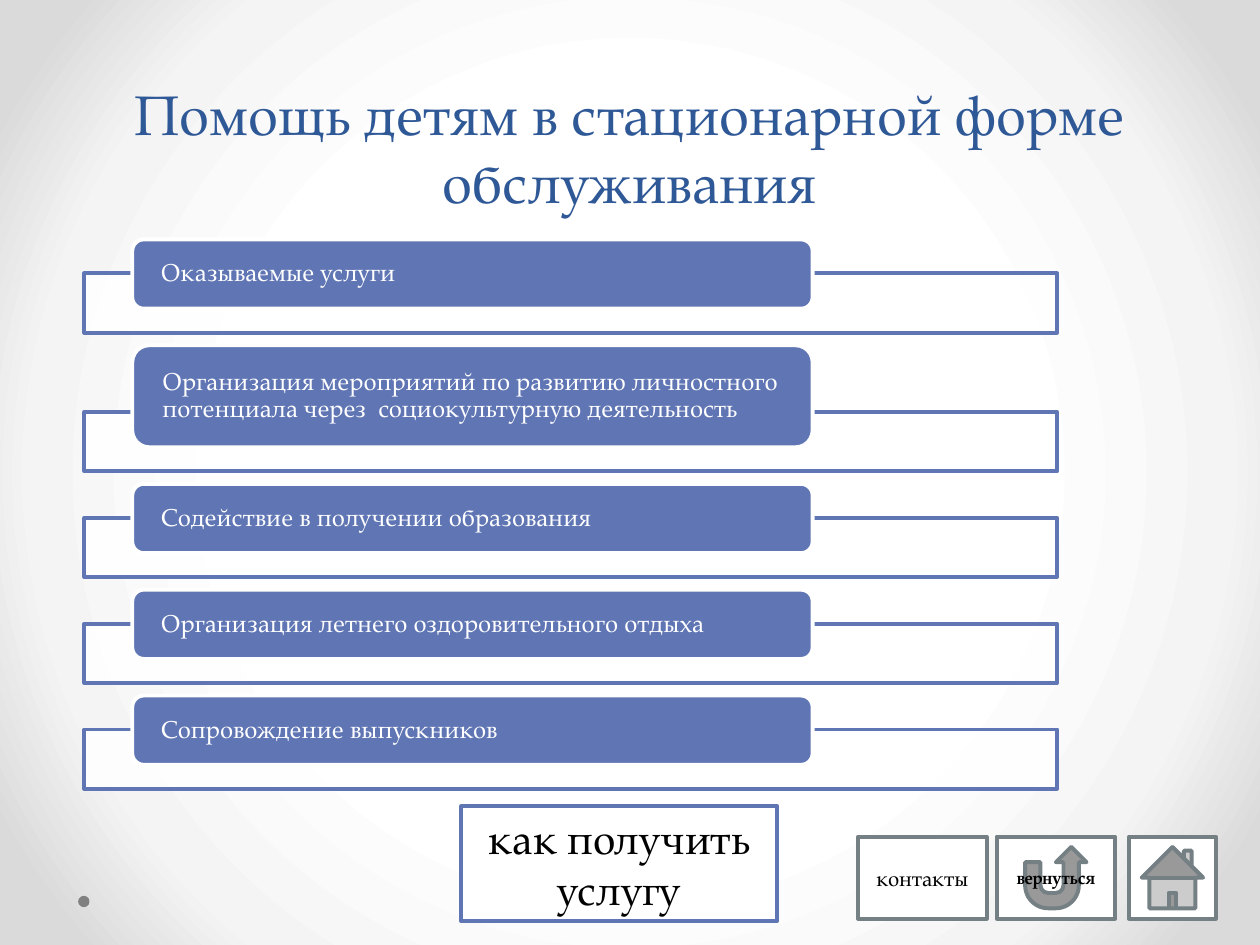
from dataclasses import dataclass

from lxml import etree
from pptx import Presentation
from pptx.dml.color import RGBColor
from pptx.enum.shapes import MSO_SHAPE
from pptx.enum.text import MSO_ANCHOR, MSO_AUTO_SIZE, PP_ALIGN
from pptx.oxml.ns import qn
from pptx.util import Inches, Pt

RECTANGLE, ROUNDED, OVAL = MSO_SHAPE.RECTANGLE, MSO_SHAPE.ROUNDED_RECTANGLE, MSO_SHAPE.OVAL
BUTTON_BLANK = MSO_SHAPE.ACTION_BUTTON_CUSTOM
BUTTON_RETURN = MSO_SHAPE.ACTION_BUTTON_RETURN
BUTTON_HOME = MSO_SHAPE.ACTION_BUTTON_HOME
LEFT, CENTER = PP_ALIGN.LEFT, PP_ALIGN.CENTER
TOP, MIDDLE, BOTTOM = MSO_ANCHOR.TOP, MSO_ANCHOR.MIDDLE, MSO_ANCHOR.BOTTOM
GROW = MSO_AUTO_SIZE.SHAPE_TO_FIT_TEXT

FONT = "TeX Gyre Pagella"
COLORS = {
    "white": "FFFFFF", "black": "000000", "title": "2F5897", "blue": "6076B4",
    "slate": "758085", "dot": "808080", "light": "F4F4F4", "edge": "DADADA",
}


@dataclass
class Service:
    text: str
    height: float = 0.55


@dataclass
class Button:
    kind: MSO_SHAPE
    left: float
    width: float
    text: str = ""
    size: float = 12
    bold: bool = False


SERVICES = [
    Service("Оказываемые услуги"),
    Service("Организация мероприятий по развитию личностного потенциала "
            "через  социокультурную деятельность", 0.81),
    Service("Содействие в получении образования"),
    Service("Организация летнего оздоровительного отдыха"),
    Service("Сопровождение выпускников"),
]
BUTTONS = [
    Button(BUTTON_RETURN, 7.91, 0.94, "вернуться", 10, True),
    Button(BUTTON_HOME, 8.96, 0.69),
    Button(BUTTON_BLANK, 6.81, 1.02, "контакты"),
]


def rgb(name: str) -> RGBColor:
    return RGBColor.from_string(COLORS[name])


def write_text(shape, text: str, *, size: float, color: str = "black", bold: bool = False,
               align=CENTER, anchor=MIDDLE, side: float = 0.1, edge: float = 0.05,
               spacing: float = 1.0) -> None:
    frame = shape.text_frame
    frame.word_wrap = True
    frame.vertical_anchor = anchor
    frame.margin_left = frame.margin_right = Inches(side)
    frame.margin_top = frame.margin_bottom = Inches(edge)
    paragraph = frame.paragraphs[0]
    paragraph.alignment = align
    paragraph.line_spacing = spacing
    run = paragraph.add_run()
    run.text = text
    run.font.name, run.font.size, run.font.bold = FONT, Pt(size), bold
    run.font.color.rgb = rgb(color)


def add_box(slide, kind, left: float, top: float, width: float, height: float, *,
            fill: str = "white", line: str = "", opacity: int = 100):
    shape = slide.shapes.add_shape(kind, Inches(left), Inches(top), Inches(width), Inches(height))
    shape.shadow.inherit = False
    shape.fill.solid()
    shape.fill.fore_color.rgb = rgb(fill)
    if opacity < 100:
        color = shape.fill._xPr.find(".//" + qn("a:srgbClr"))
        etree.SubElement(color, qn("a:alpha"), val=str(opacity * 1000))
    if line:
        shape.line.color.rgb = rgb(line)
        shape.line.width = Pt(2.25)
    else:
        shape.line.fill.background()
    return shape


def set_background(slide) -> None:
    fill = slide.background.fill
    fill.gradient()
    gradient = slide.background._cSld.find(".//" + qn("a:gradFill"))
    for child in list(gradient):
        gradient.remove(child)
    stops = etree.SubElement(gradient, qn("a:gsLst"))
    for position, name in ((50, "white"), (76, "light"), (92, "edge")):
        stop = etree.SubElement(stops, qn("a:gs"), pos=str(position * 1000))
        etree.SubElement(stop, qn("a:srgbClr"), val=COLORS[name])
    path = etree.SubElement(gradient, qn("a:path"), path="circle")
    etree.SubElement(path, qn("a:fillToRect"), l="50000", t="50000", r="50000", b="50000")


def add_services(slide, top: float) -> None:
    frame_height, overlap, gap = 0.47, 0.28, 0.1
    for service in SERVICES:
        frame_top = top + service.height - overlap
        add_box(slide, RECTANGLE, 0.67, frame_top, 7.72, frame_height, line="blue", opacity=90)
        label = add_box(slide, ROUNDED, 1.05, top, 5.4, service.height, fill="blue", line="white")
        write_text(label, service.text, size=14, color="white", align=LEFT,
                   side=0.2, edge=0, spacing=0.9)
        top = frame_top + frame_height + gap


presentation = Presentation()
presentation.slide_width, presentation.slide_height = Inches(10), Inches(7.5)
slide = presentation.slides.add_slide(presentation.slide_layouts[6])
set_background(slide)

# Corner dot and title
add_box(slide, OVAL, 0.62, 7.11, 0.09, 0.09, fill="dot")
title = slide.shapes.add_textbox(Inches(0.5), Inches(0), Inches(9), Inches(1.75))
write_text(title, "Помощь детям в стационарной форме обслуживания",
           size=32, color="title", anchor=BOTTOM)

# List of services
add_services(slide, 1.9)

# Navigation buttons
for button in BUTTONS:
    shape = add_box(slide, button.kind, button.left, 6.64, button.width, 0.65, line="slate")
    if button.text:
        write_text(shape, button.text, size=button.size, bold=button.bold)

# How to get the service
request = add_box(slide, RECTANGLE, 3.66, 6.4, 2.51, 0.91, line="blue")
write_text(request, "как получить услугу", size=24, anchor=TOP)
request.text_frame.auto_size = GROW

presentation.save("out.pptx")
